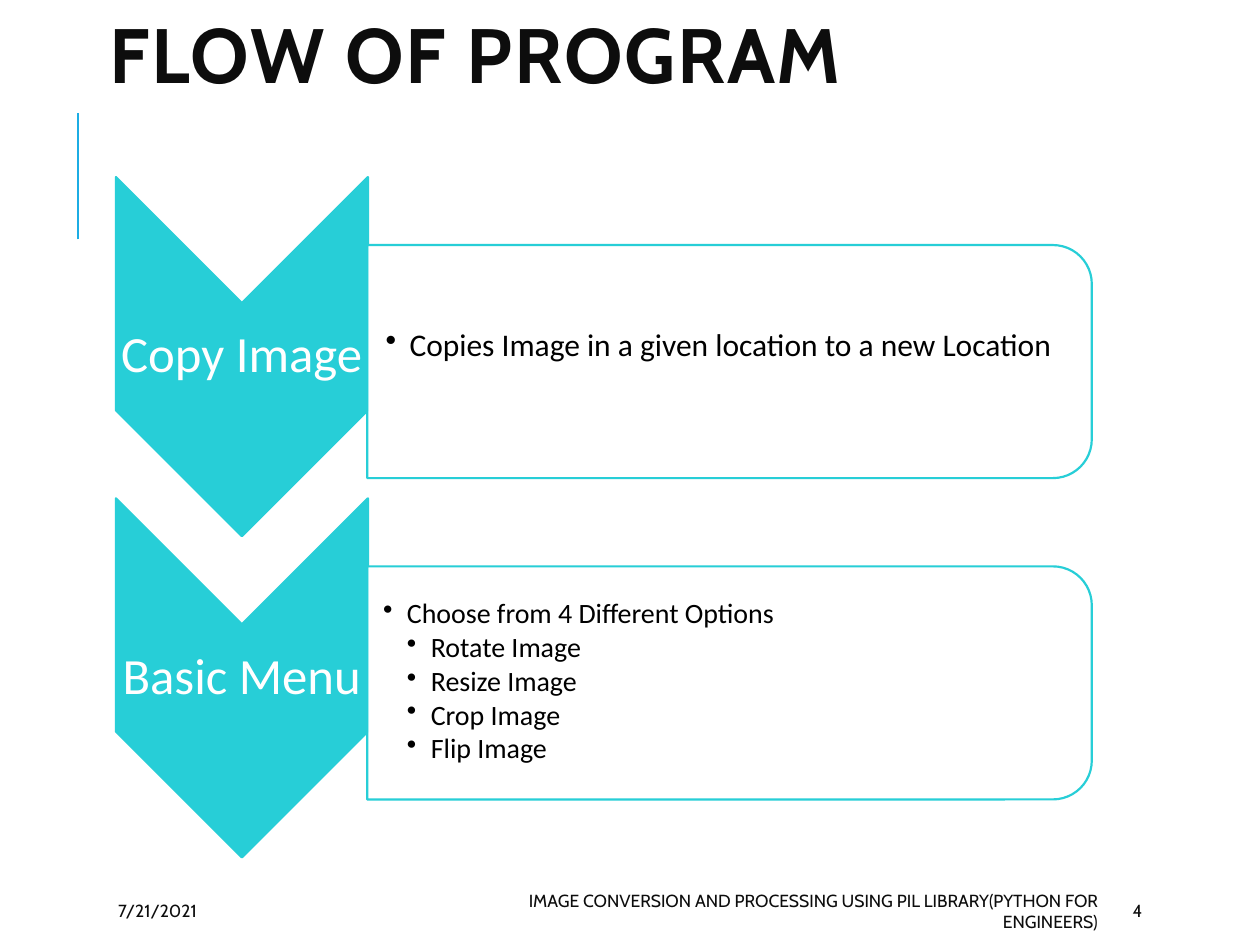
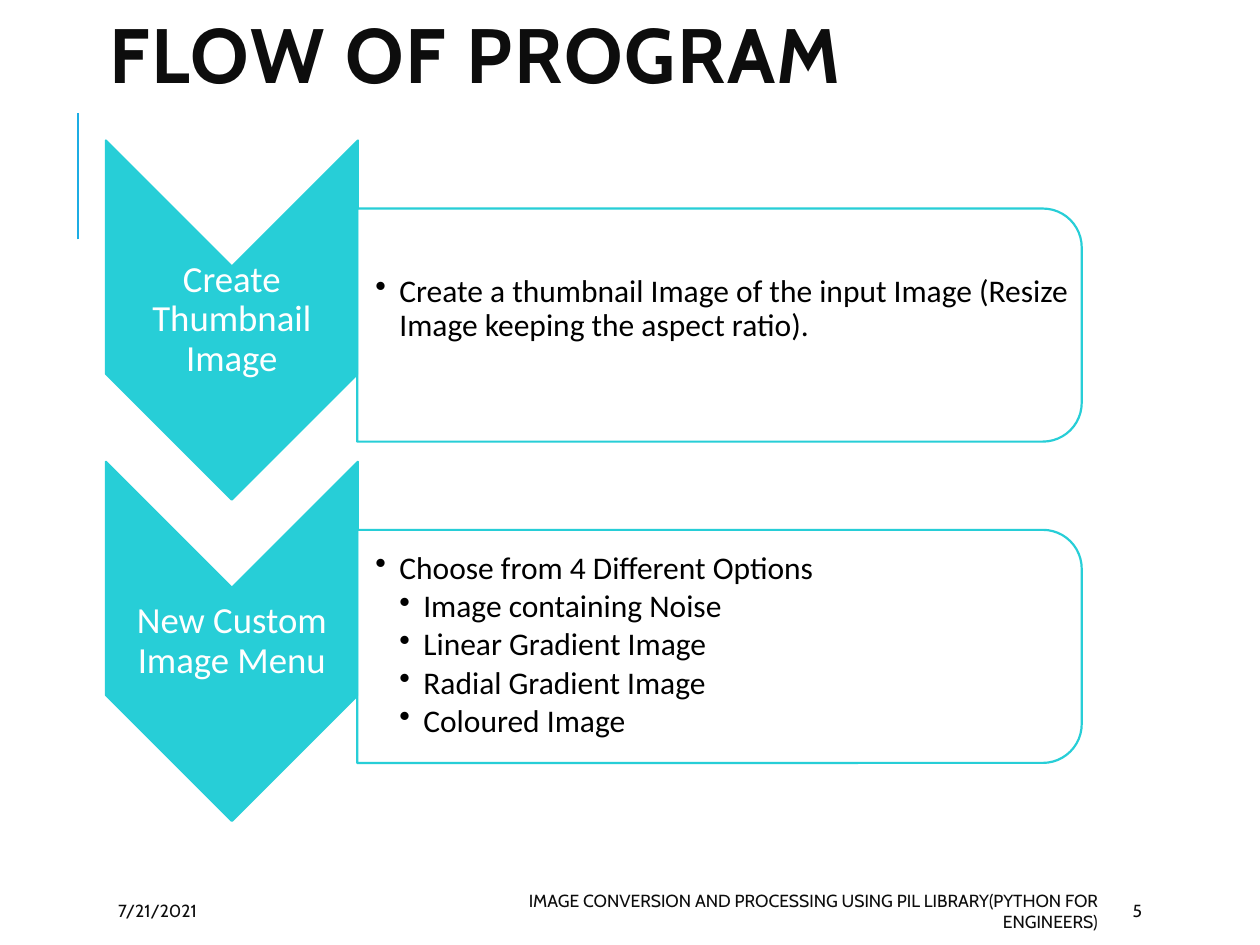
from dataclasses import dataclass

from lxml.etree import SubElement
from pptx import Presentation
from pptx.dml.color import RGBColor
from pptx.enum.shapes import MSO_CONNECTOR, MSO_SHAPE
from pptx.enum.text import MSO_ANCHOR, MSO_AUTO_SIZE, PP_ALIGN
from pptx.oxml.ns import qn
from pptx.util import Inches, Pt

COLOURS = {"accent": "1CADE4", "flow": "27CED7", "ink": "0D0D0D",
           "body": "000000", "paper": "FFFFFF"}
HEADING_FONT, BODY_FONT = "Cabin", "Calibri"

TITLE = "FLOW OF PROGRAM"
DATE = "7/21/2021"
FOOTER = "IMAGE CONVERSION AND PROCESSING USING PIL LIBRARY(PYTHON FOR ENGINEERS)"

# Flow geometry in inches; sizes are before the quarter turn
STEP_PITCH = 2.55
CHEVRON_SIZE = (2.85, 2.0)
PANEL_SIZE = (1.85, 5.75)
PANEL_OFFSET = (3.87, 0.04)
LABEL_SIZE = (2.0, 0.86)
DETAIL_OFFSET = (1.0, -0.8)
DETAIL_SIZE = (5.66, 1.67)
INDENT = 0.19


@dataclass
class Step:
    label: str
    detail: str
    options: tuple[str, ...] = ()
    detail_size: int = 18
    inset: float = 0.14


@dataclass
class FlowSlide:
    number: int
    centre: tuple[float, float]  # middle of the first chevron
    label_size: int
    label_inset: float
    steps: tuple[Step, ...]


FLOW_SLIDES = (
    FlowSlide(4, (1.92, 2.83), 29, 0.02, (
        Step("Copy Image", "Copies Image in a given location to a new Location"),
        Step("Basic Menu", "Choose from 4 Different Options",
             ("Rotate Image", "Resize Image", "Crop Image", "Flip Image"), 16, 0.12),
    )),
    FlowSlide(5, (1.84, 2.54), 21, 0.01, (
        Step("Create Thumbnail Image",
             "Create a thumbnail Image of the input Image "
             "(Resize Image keeping the aspect ratio)."),
        Step("New Custom Image Menu", "Choose from 4 Different Options",
             ("Image containing Noise", "Linear Gradient Image",
              "Radial Gradient Image", "Coloured Image")),
    )),
)


def rgb(name: str) -> RGBColor:
    return RGBColor.from_string(COLOURS[name])


def apply(target, **formats) -> None:
    for name, value in formats.items():
        setattr(target, name, value)


def set_frame(frame, left=0.1, top=0.05, right=0.1, bottom=0.05) -> None:
    apply(frame, word_wrap=True, auto_size=MSO_AUTO_SIZE.NONE,
          vertical_anchor=MSO_ANCHOR.MIDDLE,
          margin_left=Inches(left), margin_top=Inches(top),
          margin_right=Inches(right), margin_bottom=Inches(bottom))


def write(paragraph, text: str, font: str, size: int, colour: str, bold=False, **formats):
    run = paragraph.add_run()
    run.text = text
    apply(run.font, name=font, size=Pt(size), bold=bold)
    run.font.color.rgb = rgb(colour)
    apply(paragraph, **formats)
    return run


def add_box(slide, x: float, y: float, width: float, height: float, **insets: float):
    box = slide.shapes.add_textbox(*map(Inches, (x, y, width, height)))
    set_frame(box.text_frame, **insets)
    return box.text_frame


def add_turned_shape(slide, kind, centre: tuple[float, float],
                     size: tuple[float, float], fill: str):
    """Place a preset shape by its middle, turned clockwise by 90 degrees."""
    corner = [middle - length / 2 for middle, length in zip(centre, size)]
    shape = slide.shapes.add_shape(kind, *map(Inches, (*corner, *size)))
    shape.rotation = 90
    shape.shadow.inherit = False
    shape.fill.solid()
    shape.fill.fore_color.rgb = rgb(fill)
    shape.line.color.rgb = rgb("flow")
    shape.line.width = Pt(1.25)
    return shape


def add_bullet(paragraph, text: str, level: int, size: int) -> None:
    write(paragraph, text, BODY_FONT, size, "body", level=level,
          line_spacing=0.9, space_after=Pt(size * 0.13))
    properties = paragraph._p.get_or_add_pPr()
    properties.set("marL", str(Inches(INDENT * level)))
    properties.set("indent", str(-Inches(INDENT)))
    SubElement(properties, qn("a:buChar")).set("char", "•")


def add_step(slide, step: Step, centre: tuple[float, float], flow: FlowSlide) -> None:
    x, y = centre
    # Chevron and its label
    add_turned_shape(slide, MSO_SHAPE.CHEVRON, centre, CHEVRON_SIZE, "flow")
    label_width, label_height = LABEL_SIZE
    label = add_box(slide, x - label_width / 2, y - label_height / 2, *LABEL_SIZE,
                    **dict.fromkeys(("left", "top", "right", "bottom"), flow.label_inset))
    write(label.paragraphs[0], step.label, BODY_FONT, flow.label_size, "paper",
          alignment=PP_ALIGN.CENTER, line_spacing=0.9)

    # Panel, slightly see-through
    panel = add_turned_shape(slide, MSO_SHAPE.ROUND_2_SAME_RECTANGLE,
                             (x + PANEL_OFFSET[0], y + PANEL_OFFSET[1]), PANEL_SIZE, "paper")
    paper = panel._element.spPr.find(qn("a:solidFill"))[0]
    SubElement(paper, qn("a:alpha")).set("val", "90000")

    # Details; a single statement sits a little above the middle
    details = add_box(slide, x + DETAIL_OFFSET[0], y + DETAIL_OFFSET[1], *DETAIL_SIZE,
                      left=step.inset, top=0.01, right=0.01,
                      bottom=0.01 if step.options else 0.25)
    add_bullet(details.paragraphs[0], step.detail, 1, step.detail_size)
    for option in step.options:
        add_bullet(details.add_paragraph(), option, 2, step.detail_size)


def add_frame(slide, number: int) -> None:
    """Accent line, title and footer shared by all slides."""
    accent = slide.shapes.add_connector(
        MSO_CONNECTOR.STRAIGHT, *map(Inches, (0.62, 1.9, 0.62, 0.9)))
    accent.line.color.rgb = rgb("accent")
    accent.line.width = Pt(1.5)
    SubElement(accent._element.spPr, qn("a:effectLst"))

    title = slide.shapes.title
    apply(title, left=Inches(0.5), top=Inches(-0.14), width=Inches(9), height=Inches(1.25))
    set_frame(title.text_frame, left=0.37)
    heading = write(title.text_frame.paragraphs[0], TITLE, HEADING_FONT, 44, "ink",
                    bold=True, alignment=PP_ALIGN.LEFT, line_spacing=0.8)
    heading.font._element.set("spc", "100")

    for text, x, width, alignment in (
        (DATE, 0.84, 1.77, PP_ALIGN.LEFT),
        (FOOTER, 3.97, 4.84, PP_ALIGN.RIGHT),
        (str(number), 8.89, 0.8, PP_ALIGN.LEFT),
    ):
        footer = add_box(slide, x, 7.08, width, 0.3)
        write(footer.paragraphs[0], text, HEADING_FONT, 10, "ink", alignment=alignment)


def main() -> None:
    deck = Presentation()
    apply(deck, slide_width=Inches(10), slide_height=Inches(7.5))
    title_only = deck.slide_layouts[5]
    for flow in FLOW_SLIDES:
        slide = deck.slides.add_slide(title_only)
        add_frame(slide, flow.number)
        x, y = flow.centre
        for index, step in enumerate(flow.steps):
            add_step(slide, step, (x, y + index * STEP_PITCH), flow)
    deck.save("out.pptx")


main()
